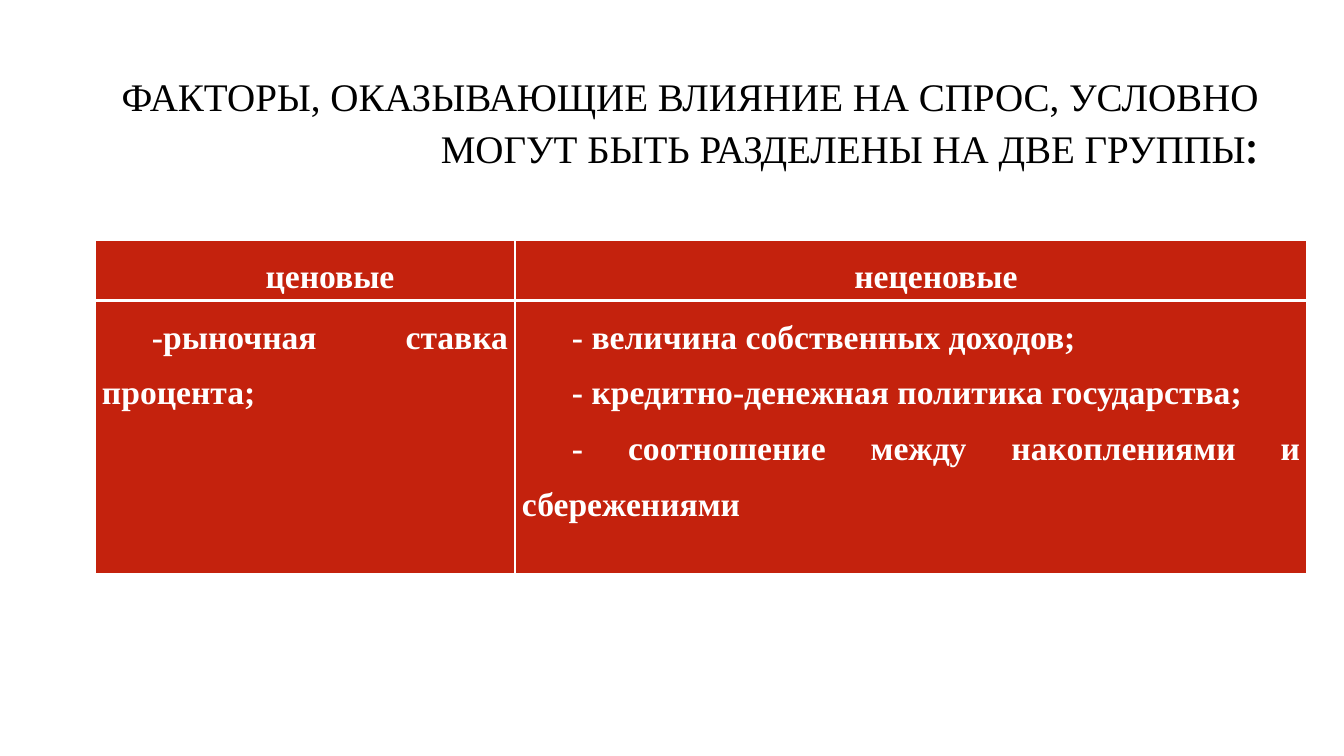
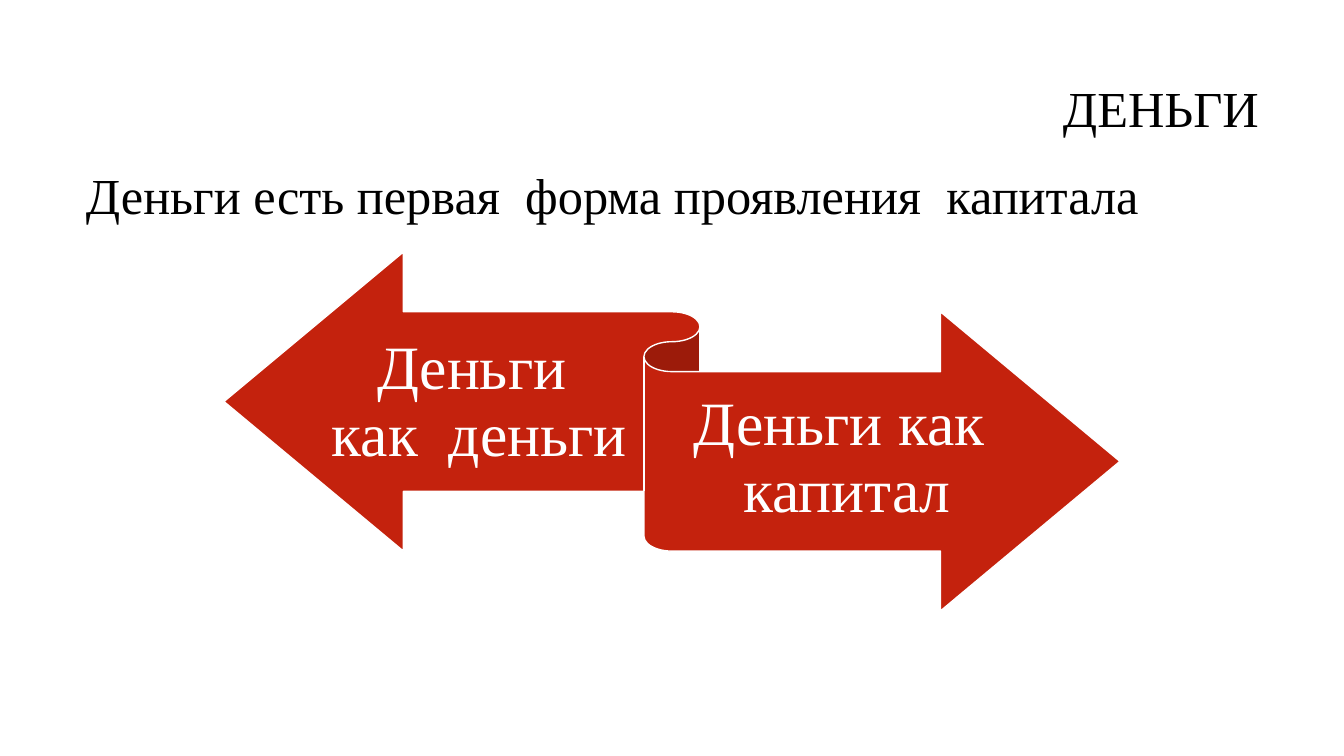
from lxml import etree
from pptx import Presentation
from pptx.dml.color import RGBColor
from pptx.enum.shapes import MSO_SHAPE
from pptx.enum.text import MSO_ANCHOR, PP_ALIGN
from pptx.oxml.ns import qn
from pptx.util import Pt

SCALE = 12192000 / 1344
COLORS = {"text": "000000", "red": "C4220D", "white": "FFFFFF"}
FONT = "Times New Roman"
ACCENT_FONT = "League Spartan"
LEFT, RIGHT = PP_ALIGN.LEFT, PP_ALIGN.RIGHT
CENTER, JUSTIFY = PP_ALIGN.CENTER, PP_ALIGN.JUSTIFY
TOP, MIDDLE = MSO_ANCHOR.TOP, MSO_ANCHOR.MIDDLE
RIBBON = MSO_SHAPE.LEFT_RIGHT_RIBBON


def px(length):
    return round(length * SCALE)


def color(name):
    return RGBColor.from_string(COLORS[name])


def write(paragraph, text, size=36, font=FONT, fill="text", bold=False,
          align=LEFT, spacing=0.9, indent=0):
    paragraph.alignment = align
    paragraph.line_spacing = spacing
    if indent:
        properties = paragraph._p.get_or_add_pPr()
        properties.set("marL", "0")
        properties.set("indent", str(px(indent)))
    run = paragraph.add_run()
    run.text = text
    run.font.size = Pt(size)
    run.font.name = font
    run.font.bold = bold
    run.font.color.rgb = color(fill)


class Deck:
    """Holds the shared style and the current slide."""

    def __init__(self):
        self.presentation = Presentation()
        self.presentation.slide_width = px(1344)
        self.presentation.slide_height = px(756)
        self.slide = None

    def add_slide(self):
        layout = self.presentation.slide_layouts[6]
        self.slide = self.presentation.slides.add_slide(layout)

    def text(self, box, text, anchor=TOP, insets=(10, 5, 10, 5), **style):
        shape = self.slide.shapes.add_textbox(*map(px, box))
        frame = shape.text_frame
        frame.word_wrap = True
        frame.vertical_anchor = anchor
        (frame.margin_left, frame.margin_top,
         frame.margin_right, frame.margin_bottom) = map(px, insets)
        paragraph = frame.paragraphs[0]
        write(paragraph, text, **style)
        return paragraph

    def title(self, box, text, size=36):
        return self.text(box, text, MIDDLE, size=size, align=RIGHT)

    def ribbon(self, box):
        shape = self.slide.shapes.add_shape(RIBBON, *map(px, box))
        shape.shadow.inherit = False
        shape.fill.solid()
        shape.fill.fore_color.rgb = color("red")
        shape.line.color.rgb = color("white")
        shape.line.width = Pt(1)

    def ribbon_label(self, box, text):
        self.text(box, text, MIDDLE, (0, 17, 0, 18),
                  size=44, fill="white", align=CENTER)

    def borders(self, cell, widths):
        properties = cell._tc.get_or_add_tcPr()
        for side, width in widths.items():
            line = etree.SubElement(properties, qn(f"a:ln{side}"), w=str(Pt(width)))
            fill = etree.SubElement(line, qn("a:solidFill"))
            etree.SubElement(fill, qn("a:srgbClr"), val=COLORS["white"])

    def cell(self, cell, lines, header):
        cell.margin_left = cell.margin_right = px(7)
        cell.margin_top = cell.margin_bottom = 0
        self.borders(cell, {"L": 1, "R": 1, "T": 1 if header else 3,
                            "B": 3 if header else 1})
        cell.fill.solid()
        cell.fill.fore_color.rgb = color("red")
        frame = cell.text_frame
        for index, line in enumerate(lines):
            paragraph = frame.add_paragraph() if index else frame.paragraphs[0]
            write(paragraph, line, size=24, fill="white", bold=True, spacing=1.5,
                  indent=50, align=CENTER if header else JUSTIFY)

    def table(self, left, top, widths, heights, rows):
        box = (left, top, sum(widths), sum(heights))
        table = self.slide.shapes.add_table(
            len(rows), len(widths), *map(px, box)).table
        for column, width in zip(table.columns, widths):
            column.width = px(width)
        for row, height in zip(table.rows, heights):
            row.height = px(height)
        for row_index, row in enumerate(rows):
            for column_index, lines in enumerate(row):
                self.cell(table.cell(row_index, column_index), lines, row_index == 0)


def factors_slide(deck):
    deck.add_slide()
    heading = deck.title(
        (95, 76, 1174, 100),
        "ФАКТОРЫ, ОКАЗЫВАЮЩИЕ ВЛИЯНИЕ НА СПРОС, УСЛОВНО МОГУТ БЫТЬ "
        "РАЗДЕЛЕНЫ НА ДВЕ ГРУППЫ", size=27.9)
    write(heading, ":", font=ACCENT_FONT, align=RIGHT)
    deck.table(95, 240, (420, 792), (49, 273), [
        [["ценовые"], ["неценовые"]],
        [["-рыночная ставка процента;"],
         ["- величина собственных доходов;",
          "- кредитно-денежная политика государства;",
          "- соотношение между накоплениями и сбережениями"]],
    ])


def money_slide(deck):
    deck.add_slide()
    deck.title((319, 85, 950, 53), "ДЕНЬГИ")
    deck.text((76, 166, 1192, 70), "Деньги есть первая  форма проявления  капитала")
    deck.ribbon((224, 252, 896, 359))
    deck.ribbon_label((331, 316, 297, 175), "Деньги  как  деньги ")
    deck.ribbon_label((672, 372, 350, 175), "Деньги как  капитал")


def main():
    deck = Deck()
    factors_slide(deck)
    money_slide(deck)
    deck.presentation.save("out.pptx")


if __name__ == "__main__":
    main()
